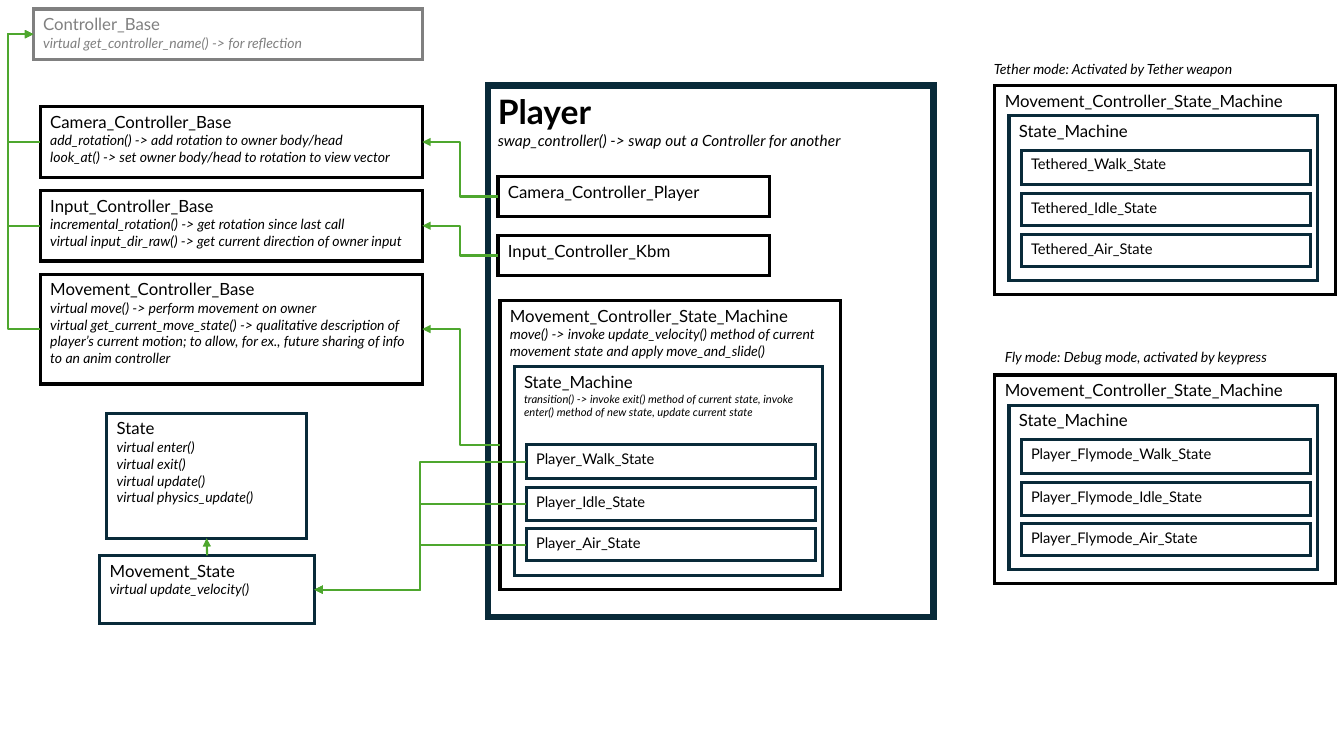
from lxml import etree
from pptx import Presentation
from pptx import util as u
from pptx.dml import color
from pptx.enum import shapes, text
from pptx.oxml import ns

COLORS = {"ink": "000000", "navy": "092A39", "gray": "808080", "green": "4EA72E"}
FONT = "Lato"
COLUMNS, ROWS = 133.33, 75
TOP, LEFT, BOTTOM, RIGHT = range(4)


class Diagram:
    def __init__(self, deck):
        self.page = deck.slides.add_slide(deck.slide_layouts[6])
        self.column = deck.slide_width / COLUMNS
        self.row = deck.slide_height / ROWS

    def place(self, left, top, width, height):
        return (round(left * self.column), round(top * self.row),
                round(width * self.column), round(height * self.row))

    def rgb(self, name):
        return color.RGBColor.from_string(COLORS[name])

    def style(self, para, words, size, shade="ink", bold=False, italic=False):
        para.text = words
        para.alignment = text.PP_ALIGN.LEFT
        font = para.font
        font.name, font.size = FONT, u.Pt(size)
        font.bold, font.italic = bold, italic
        font.color.rgb = self.rgb(shade)

    def box(self, area, heading, details=(), line="ink", weight=2.25,
            size=12, detail_size=10, shade="ink", bold=False):
        box = self.page.shapes.add_shape(shapes.MSO_SHAPE.RECTANGLE, *self.place(*area))
        box.shadow.inherit = False
        box.fill.background()
        box.line.color.rgb = self.rgb(line)
        box.line.width = u.Pt(weight)
        miter = etree.SubElement(box.line._get_or_add_ln(), ns.qn("a:miter"))
        miter.set("lim", "800000")
        frame = box.text_frame
        frame.word_wrap = True
        frame.vertical_anchor = text.MSO_ANCHOR.TOP
        self.style(frame.paragraphs[0], heading, size, shade, bold)
        for detail in details:
            self.style(frame.add_paragraph(), detail, detail_size, shade, italic=True)
        return box

    def caption(self, area, words):
        box = self.page.shapes.add_textbox(*self.place(*area))
        box.text_frame.word_wrap = False
        box.text_frame.auto_size = text.MSO_AUTO_SIZE.SHAPE_TO_FIT_TEXT
        self.style(box.text_frame.paragraphs[0], words, 10, italic=True)

    def arrow(self, source, source_side, target, target_side, bend=None):
        kind = shapes.MSO_CONNECTOR.ELBOW if bend else shapes.MSO_CONNECTOR.STRAIGHT
        arrow = self.page.shapes.add_connector(kind, 0, 0, 0, 0)
        arrow.begin_connect(source, source_side)
        arrow.end_connect(target, target_side)
        arrow.line.color.rgb = self.rgb("green")
        arrow.line.width = u.Pt(1.5)
        etree.SubElement(arrow.line._get_or_add_ln(), ns.qn("a:tailEnd")).set("type", "triangle")
        properties = arrow._element.spPr
        etree.SubElement(properties, ns.qn("a:effectLst"))
        if bend:
            share = (arrow.begin_x - bend * self.column) / (arrow.begin_x - arrow.end_x)
            geometry = properties.find(ns.qn("a:prstGeom"))
            guides = geometry.find(ns.qn("a:avLst"))
            if guides is None:
                guides = etree.SubElement(geometry, ns.qn("a:avLst"))
            guide = etree.SubElement(guides, ns.qn("a:gd"))
            guide.set("name", "adj1")
            guide.set("fmla", f"val {round(share * 100000)}")

    def states(self, left, top, prefix):
        rows = (("Walk", 0, 3.4), ("Idle", 4.3, 3.2), ("Air", 8.35, 3.2))
        return [self.box((left, top + drop, 28.7, height), f"{prefix}_{name}_State",
                         line="navy", size=10.5)
                for name, drop, height in rows]

    def mode(self, top, prefix, caption_area, caption):
        self.box((98.7, top, 33.8, 20.7), "Movement_Controller_State_Machine")
        self.box((100.1, top + 3, 30.6, 16.3), "State_Machine", line="navy")
        self.states(101.3, top + 6.4, prefix)
        self.caption(caption_area, caption)


def main():
    deck = Presentation()
    deck.slide_width, deck.slide_height = u.Inches(13.33), u.Inches(7.5)
    diagram = Diagram(deck)

    diagram.box((48.4, 8.5, 44.2, 52.7), "Player",
                ["swap_controller() -> swap out a Controller for another"],
                line="navy", weight=4.5, size=24, detail_size=11, bold=True)
    root = diagram.box((3.3, 0.9, 38.6, 5), "Controller_Base",
                       ["virtual get_controller_name() -> for reflection"],
                       line="gray", shade="gray")
    camera_base = diagram.box((4, 10.6, 37.9, 7), "Camera_Controller_Base", [
        "add_rotation() -> add rotation to owner body/head",
        "look_at() -> set owner body/head to rotation to view vector"])
    input_base = diagram.box((4, 18.9, 37.9, 7), "Input_Controller_Base", [
        "incremental_rotation() -> get rotation since last call",
        "virtual input_dir_raw() -> get current direction of owner input"])
    movement_base = diagram.box((4, 27.2, 37.9, 10.9), "Movement_Controller_Base", [
        "virtual move() -> perform movement on owner",
        "virtual get_current_move_state() -> qualitative description of player’s current "
        "motion; to allow, for ex., future sharing of info to an anim controller"])

    camera = diagram.box((49.4, 17.5, 26.9, 4), "Camera_Controller_Player")
    keyboard = diagram.box((49.4, 23.4, 26.9, 3.9), "Input_Controller_Kbm")
    movement = diagram.box((49.6, 29.8, 33.8, 28.7), "Movement_Controller_State_Machine", [
        "move() -> invoke update_velocity() method of current movement state "
        "and apply move_and_slide()"])
    diagram.box((51, 36.4, 30.6, 20.7), "State_Machine", [
        "transition() -> invoke exit() method of current state, invoke enter() method "
        "of new state, update current state"], line="navy", detail_size=8)
    player_states = diagram.states(52.2, 44.1, "Player")

    state = diagram.box((10.6, 41, 19.8, 12.4), "State", [
        "virtual enter()", "virtual exit()", "virtual update()",
        "virtual physics_update()"], line="navy")
    movement_state = diagram.box((9.9, 55.1, 21.3, 6.8), "Movement_State",
                                 ["virtual update_velocity()"], line="navy")

    diagram.arrow(movement_state, TOP, state, BOTTOM)
    for base in (camera_base, input_base, movement_base):
        diagram.arrow(base, LEFT, root, LEFT, bend=0.8)
    for controller, base in ((camera, camera_base), (keyboard, input_base),
                             (movement, movement_base)):
        diagram.arrow(controller, LEFT, base, RIGHT, bend=45.65)
    for player_state in player_states:
        diagram.arrow(player_state, LEFT, movement_state, RIGHT, bend=41.7)

    diagram.mode(8.5, "Tethered", (97.6, 5.5, 26.9, 2.7),
                 "Tether mode: Activated by Tether weapon")
    diagram.mode(37.2, "Player_Flymode", (98.7, 34.1, 29.4, 2.7),
                 "Fly mode: Debug mode, activated by keypress")
    deck.save("out.pptx")


if __name__ == "__main__":
    main()
